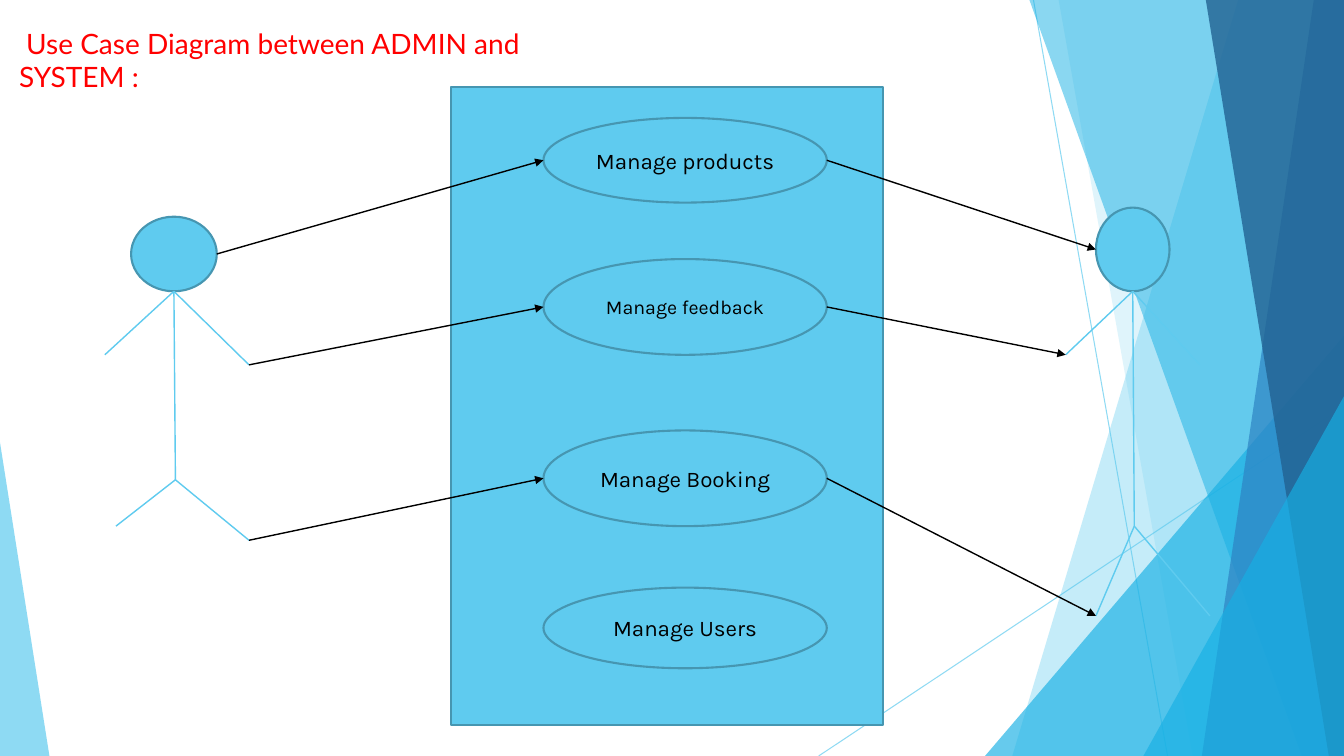
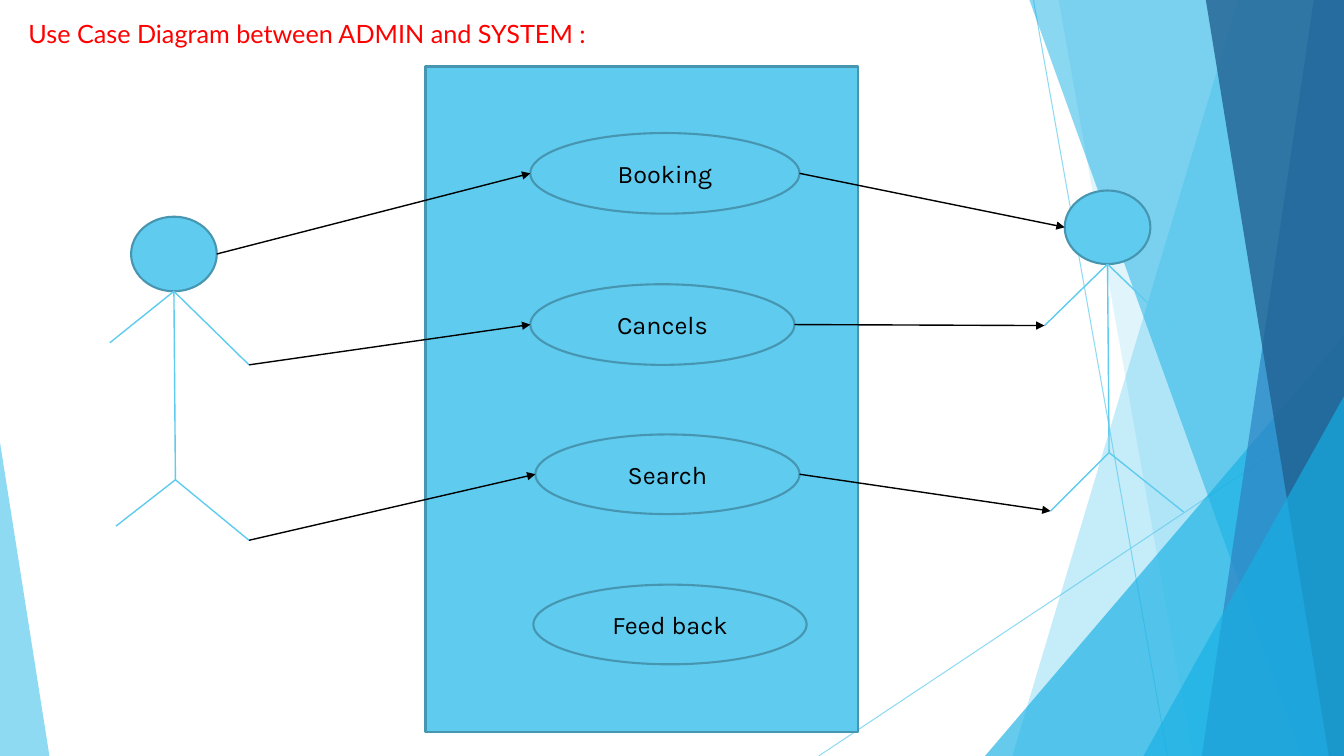
import pptx
import pptx.util
import pptx.dml.color
import pptx.enum.shapes
import pptx.enum.text
import pptx.oxml.ns
from lxml import etree

RGB = pptx.dml.color.RGBColor
KINDS = pptx.enum.shapes.MSO_SHAPE
NAME = pptx.oxml.ns.qn

# Grid: square cells, 13.33 columns by 7.5 rows
CELL = pptx.util.Inches(1)
COLUMNS, ROWS = 13.33, 7.5

# Colours and fonts
SKY = RGB(0x5F, 0xCB, 0xEF)
SKY_EDGE = RGB(0x46, 0x96, 0xB1)
CYAN = RGB(0x17, 0xB0, 0xE4)
BLUE = RGB(0x2E, 0x83, 0xC3)
NAVY = RGB(0x22, 0x62, 0x92)
RED = RGB(0xFF, 0x00, 0x00)
BLACK = RGB(0x00, 0x00, 0x00)
TITLE_FONT = "Lato"
LABEL_FONT = "Karla"


def grid(*cells):
    """Turn grid cells into lengths."""
    return [round(cell * CELL) for cell in cells]


def left_middle(area):
    left, top, width, height = area
    return left, top + height / 2


def right_middle(area):
    left, top, width, height = area
    return left + width, top + height / 2


def set_opacity(element, percent):
    """Make the solid colour inside a fill or line partly transparent."""
    colour = element.find(".//" + NAME("a:srgbClr"))
    etree.SubElement(colour, NAME("a:alpha"), val=str(percent * 1000))


def add_line(page, start, end, colour=SKY, width=1, opacity=None, arrow=False):
    line = page.shapes.add_connector(
        pptx.enum.shapes.MSO_CONNECTOR.STRAIGHT, *grid(*start, *end))
    line.line.color.rgb = colour
    line.line.width = pptx.util.Pt(width)
    properties = line.line._get_or_add_ln()
    if opacity:
        set_opacity(properties, opacity)
    if arrow:
        etree.SubElement(properties, NAME("a:tailEnd"), type="triangle")
    etree.SubElement(line._element.spPr, NAME("a:effectLst"))


def paint_facet(shape, colour, opacity):
    """Borderless, see-through fill for the decorative facets."""
    shape.shadow.inherit = False
    shape.fill.solid()
    shape.fill.fore_color.rgb = colour
    set_opacity(shape._element.spPr, opacity)
    shape.line.fill.background()


def add_band(page, top_left, bottom_left, colour, opacity):
    """Full-height band from a slanted left edge to the right page edge."""
    corners = [(top_left, 0), (COLUMNS, 0), (COLUMNS, ROWS), (bottom_left, ROWS)]
    points = [tuple(grid(*corner)) for corner in corners]
    builder = page.shapes.build_freeform(*points[0], scale=1.0)
    builder.add_line_segments(points[1:], close=True)
    paint_facet(builder.convert_to_shape(), colour, opacity)


def add_corner(page, left, top, right, apex, colour, opacity):
    """Triangle that stands on the bottom edge of the page."""
    shape = page.shapes.add_shape(
        KINDS.ISOSCELES_TRIANGLE, *grid(left, top, right - left, ROWS - top))
    shape.adjustments[0] = apex
    paint_facet(shape, colour, opacity)


def add_backdrop(page):
    add_line(page, (10.25, 0), (11.58, ROWS), width=0.75, opacity=70)
    add_line(page, (COLUMNS, 4.03), (8.12, ROWS), width=0.75, opacity=70)
    add_band(page, 12.28, 10.04, SKY, 36)
    add_band(page, 10.5, 11.83, SKY, 20)
    add_corner(page, 9.77, 3.33, COLUMNS, 1, CYAN, 66)
    add_band(page, 10.21, 12.91, CYAN, 50)
    add_band(page, 13.03, 11.92, BLUE, 70)
    add_band(page, 11.96, 13.18, NAVY, 80)
    add_corner(page, 11.34, 3.93, COLUMNS, 1, CYAN, 66)
    add_corner(page, 0, 4.39, 0.49, 0, SKY, 70)


def add_title(page, area, size, wrap):
    box = page.shapes.add_textbox(*grid(*area))
    box.text_frame.word_wrap = wrap
    para = box.text_frame.paragraphs[0]
    para.text = " Use Case Diagram between ADMIN and SYSTEM :"
    para.font.name = TITLE_FONT
    para.font.size = pptx.util.Pt(size)
    para.font.color.rgb = RED


def add_outlined(page, kind, area):
    shape = page.shapes.add_shape(kind, *grid(*area))
    shape.shadow.inherit = False
    shape.fill.solid()
    shape.fill.fore_color.rgb = SKY
    shape.line.color.rgb = SKY_EDGE
    shape.line.width = pptx.util.Pt(1.5)
    return shape


def add_use_case(page, label, size, area):
    frame = add_outlined(page, KINDS.OVAL, area).text_frame
    frame.vertical_anchor = pptx.enum.text.MSO_ANCHOR.MIDDLE
    para = frame.paragraphs[0]
    para.text = label
    para.alignment = pptx.enum.text.PP_ALIGN.CENTER
    para.font.name = LABEL_FONT
    para.font.size = pptx.util.Pt(size)
    para.font.color.rgb = BLACK


def add_figure(page, head, hip, hands, feet):
    """Stick figure: arms start under the head, legs start at the hip."""
    left, top, width, height = head
    neck = (left + width / 2, top + height)
    add_outlined(page, KINDS.OVAL, head)
    add_line(page, neck, hip)
    for hand in hands:
        add_line(page, neck, hand)
    for foot in feet:
        add_line(page, hip, foot)


def add_arrows(page, areas, actor, system):
    """Link head, hand and foot of both figures to the first three use cases."""
    actor_head, _, (_, actor_hand), (_, actor_foot) = actor
    system_head, _, (system_hand, _), (system_foot, _) = system
    sources = [right_middle(actor_head), actor_hand, actor_foot]
    targets = [left_middle(system_head), system_hand, system_foot]
    for source, area, target in zip(sources, areas, targets):
        add_line(page, source, left_middle(area), BLACK, arrow=True)
        add_line(page, right_middle(area), target, BLACK, arrow=True)


def add_page(deck, panel, use_cases, left_hand, system):
    page = deck.slides.add_slide(deck.slide_layouts[6])
    actor = ((1.3, 2.15, 0.85, 0.74), (1.74, 4.76),
             [left_hand, (2.47, 3.62)], [(1.15, 5.22), (2.47, 5.36)])
    add_backdrop(page)
    add_outlined(page, KINDS.RECTANGLE, panel)
    for use_case in use_cases:
        add_use_case(page, *use_case)
    for figure in (actor, system):
        add_figure(page, *figure)
    add_arrows(page, [area for _, _, area in use_cases], actor, system)
    return page


def main():
    deck = pptx.Presentation()
    deck.slide_width, deck.slide_height = grid(COLUMNS, ROWS)

    # Managing the shop
    page = add_page(
        deck,
        panel=(4.47, 0.86, 4.29, 6.33),
        use_cases=[
            ("Manage products", 16, (5.39, 1.17, 2.81, 0.84)),
            ("Manage feedback", 14, (5.39, 2.57, 2.81, 0.95)),
            ("Manage Booking", 16, (5.39, 4.27, 2.81, 0.95)),
            ("Manage Users", 16, (5.39, 5.83, 2.81, 0.8)),
        ],
        left_hand=(1.04, 3.52),
        system=((10.87, 2.06, 0.73, 0.83), (11.25, 5.22),
                [(10.57, 3.52), (11.9, 3.62)], [(10.87, 6.11), (12, 6.11)]))
    add_title(page, (0.09, 0.21, 5.18, 0.19), 20, wrap=True)

    # Booking and searching
    page = add_page(
        deck,
        panel=(4.22, 0.66, 4.29, 6.6),
        use_cases=[
            ("Booking", 18, (5.26, 1.32, 2.67, 0.8)),
            ("Cancels", 18, (5.26, 2.82, 2.62, 0.8)),
            ("Search", 18, (5.31, 4.31, 2.62, 0.79)),
            ("Feed back", 18, (5.29, 5.8, 2.71, 0.79)),
        ],
        left_hand=(1.09, 3.4),
        system=((10.56, 1.89, 0.85, 0.73), (11, 4.49),
                [(10.36, 3.23), (11.74, 3.35)], [(10.42, 5.07), (11.74, 5.08)]))
    add_title(page, (0.12, 0.13, 6.3, 0.4), 18, wrap=False)

    deck.save("out.pptx")


main()
